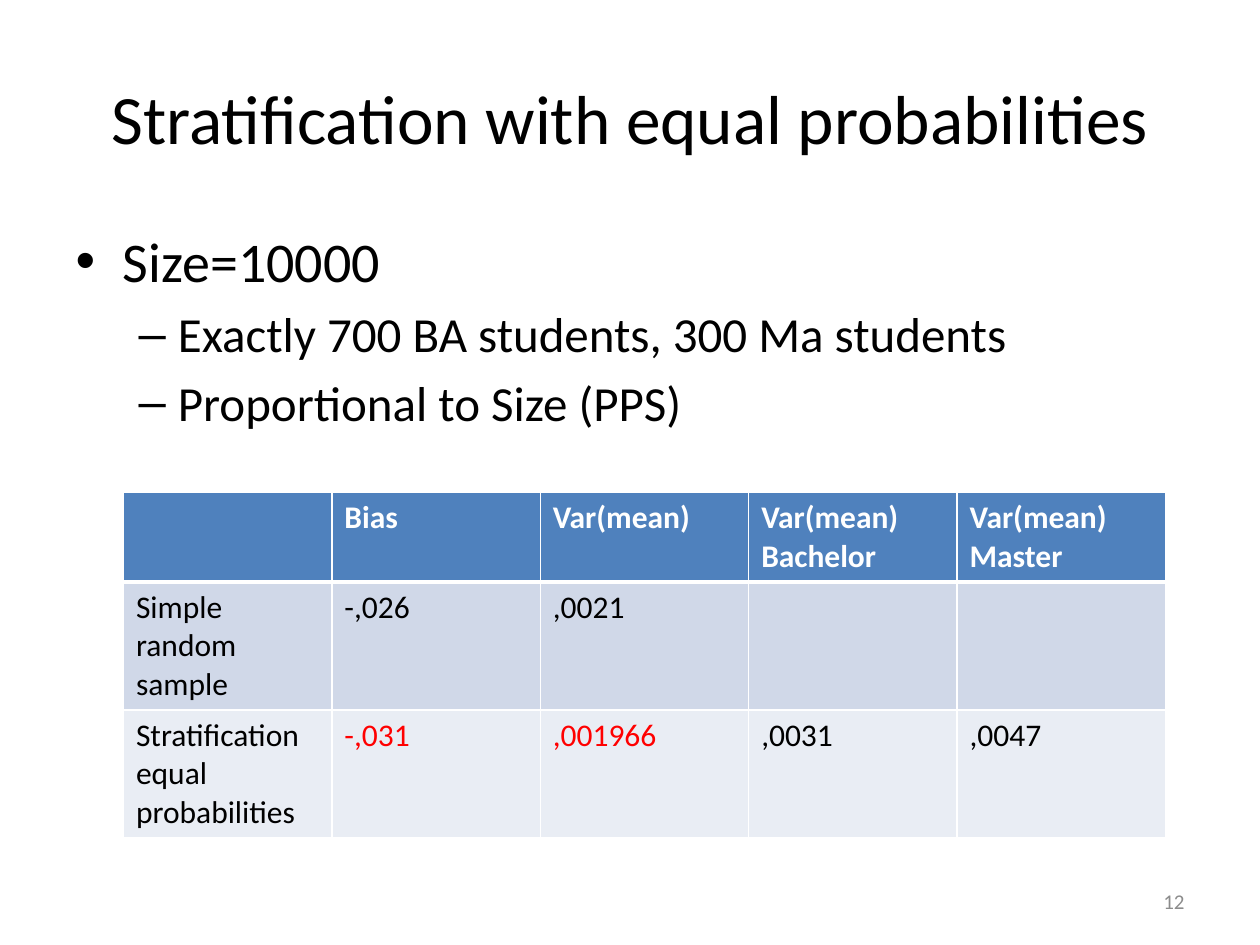
from dataclasses import dataclass

from lxml import etree
from pptx import Presentation
from pptx.dml.color import RGBColor
from pptx.enum import text
from pptx.oxml import ns
from pptx.util import Inches, Pt


@dataclass(frozen=True)
class Theme:
    """Colours, type sizes and line widths of the deck."""
    font: str = "Calibri"
    ink: str = "000000"
    white: str = "FFFFFF"
    accent: str = "FF0000"
    muted: str = "8C8C8C"
    header: str = "4F81BD"
    bands: tuple = ("D0D8E8", "E9EDF4")
    title: float = 39.6
    levels: tuple = (32, 28)
    cell: float = 18
    number: float = 12
    rule: float = 1
    header_rule: float = 3


THEME = Theme()
BULLETS = [
    (0, "Size=10000"),
    (1, "Exactly 700 BA students, 300 Ma students"),
    (1, "Proportional to Size (PPS)"),
]
ROWS = [
    ["", "Bias", "Var(mean)", "Var(mean) Bachelor", "Var(mean) Master"],
    ["Simple random sample", "-,026", ",0021", "", ""],
    ["Stratification equal probabilities", "-,031", ",001966", ",0031", ",0047"],
]
ROW_HEIGHTS = [0.7, 1, 1]
HIGHLIGHTS = {(2, 1), (2, 2)}


def style(p, size, color, bold=False):
    """Format every run of a paragraph."""
    for r in p.runs:
        r.font.name = THEME.font
        r.font.size = Pt(size)
        r.font.bold = bold
        r.font.color.rgb = RGBColor.from_string(color)


def place(sp, box):
    """Move a shape to a box given in inches and fix its text frame."""
    sp.left, sp.top, sp.width, sp.height = map(Inches, box)
    sp.text_frame.word_wrap = True
    sp.text_frame.auto_size = text.MSO_AUTO_SIZE.NONE


def add_title(s, box, title):
    """Fill the title placeholder."""
    sp = s.shapes.title
    place(sp, box)
    tf = sp.text_frame
    tf.text = title
    tf.vertical_anchor = text.MSO_ANCHOR.MIDDLE
    tf.paragraphs[0].alignment = text.PP_ALIGN.CENTER
    style(tf.paragraphs[0], THEME.title, THEME.ink)


def add_bullets(s, box, items):
    """Fill the body placeholder with a two-level list."""
    sp = s.placeholders[1]
    place(sp, box)
    tf = sp.text_frame
    tf.text = "\n".join(line for _, line in items)
    for p, (level, _) in zip(tf.paragraphs, items):
        p.level = level
        style(p, THEME.levels[level], THEME.ink)
    tf.paragraphs[0].space_before = Pt(0)


def set_borders(cell, top, bottom):
    """Draw white borders with the given top and bottom widths."""
    tcPr = cell._tc.get_or_add_tcPr()
    widths = {"lnL": THEME.rule, "lnR": THEME.rule, "lnT": top, "lnB": bottom}
    for i, (tag, width) in enumerate(widths.items()):
        ln = etree.Element(ns.qn(f"a:{tag}"), w=str(Pt(width)))
        fill = etree.SubElement(ln, ns.qn("a:solidFill"))
        etree.SubElement(fill, ns.qn("a:srgbClr"), val=THEME.white)
        tcPr.insert(i, ln)


def add_results(s, box, rows):
    """Add the table of bias and variances."""
    table = s.shapes.add_table(len(rows), len(rows[0]), *map(Inches, box)).table
    for row, height in zip(table.rows, ROW_HEIGHTS):
        row.height = Inches(height)
    fills = (THEME.header, *THEME.bands)
    for i, values in enumerate(rows):
        for j, value in enumerate(values):
            cell = table.cell(i, j)
            cell.text = value
            cell.fill.solid()
            cell.fill.fore_color.rgb = RGBColor.from_string(fills[i])
            color = THEME.white if i == 0 else THEME.ink
            if (i, j) in HIGHLIGHTS:
                color = THEME.accent
            style(cell.text_frame.paragraphs[0], THEME.cell, color, bold=i == 0)
            top = THEME.header_rule if i == 1 else THEME.rule
            bottom = THEME.header_rule if i == 0 else THEME.rule
            set_borders(cell, top, bottom)


def add_number(s, box, number):
    """Add the slide number at the lower right."""
    sp = s.shapes.add_textbox(*map(Inches, box))
    place(sp, box)
    tf = sp.text_frame
    tf.text = number
    tf.vertical_anchor = text.MSO_ANCHOR.MIDDLE
    tf.paragraphs[0].alignment = text.PP_ALIGN.RIGHT
    style(tf.paragraphs[0], THEME.number, THEME.muted)


def main():
    """Build and save the slide."""
    prs = Presentation()
    prs.slide_width, prs.slide_height = Inches(10), Inches(7.5)
    s = prs.slides.add_slide(prs.slide_layouts[1])
    add_title(s, (0.5, 0.3, 9, 1.25), "Stratification with equal probabilities")
    add_bullets(s, (0.5, 1.75, 9, 4.95), BULLETS)
    add_results(s, (0.98, 3.91, 8.27, sum(ROW_HEIGHTS)), ROWS)
    add_number(s, (7.17, 6.95, 2.33, 0.4), "12")
    prs.save("out.pptx")


if __name__ == "__main__":
    main()
